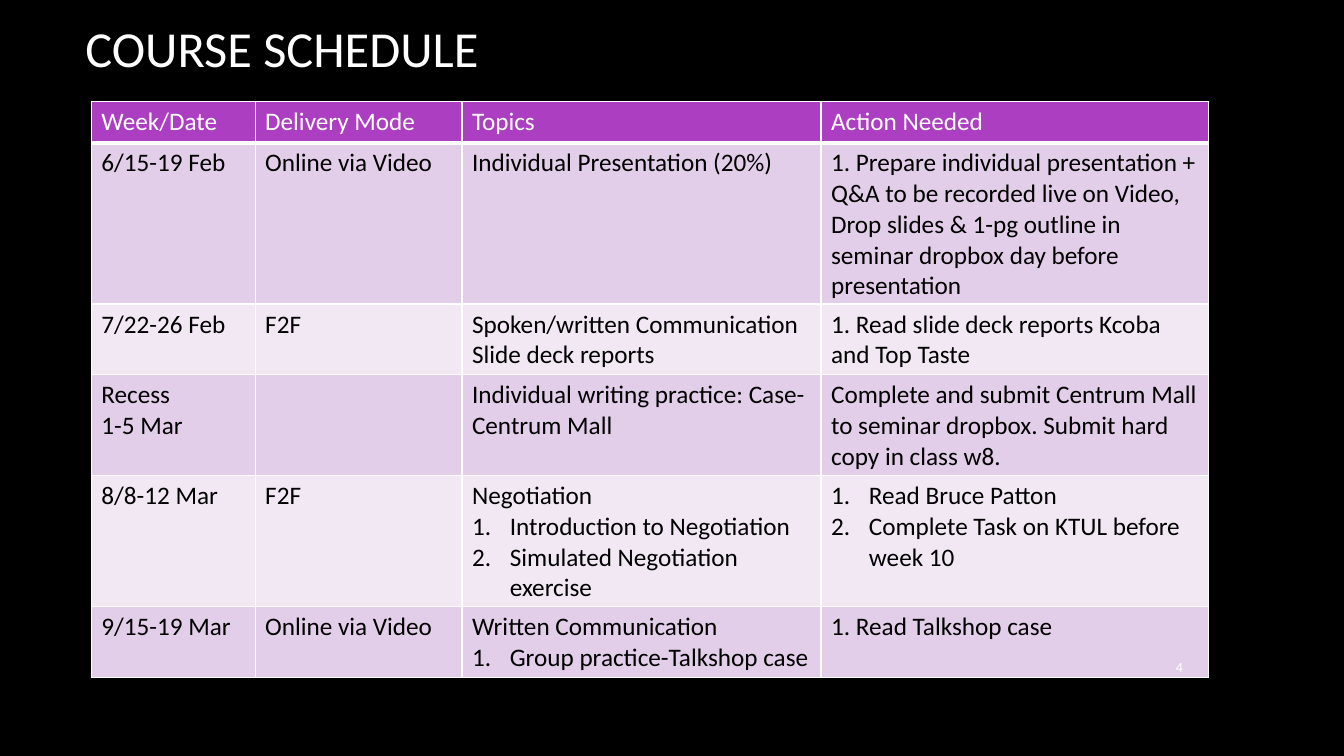
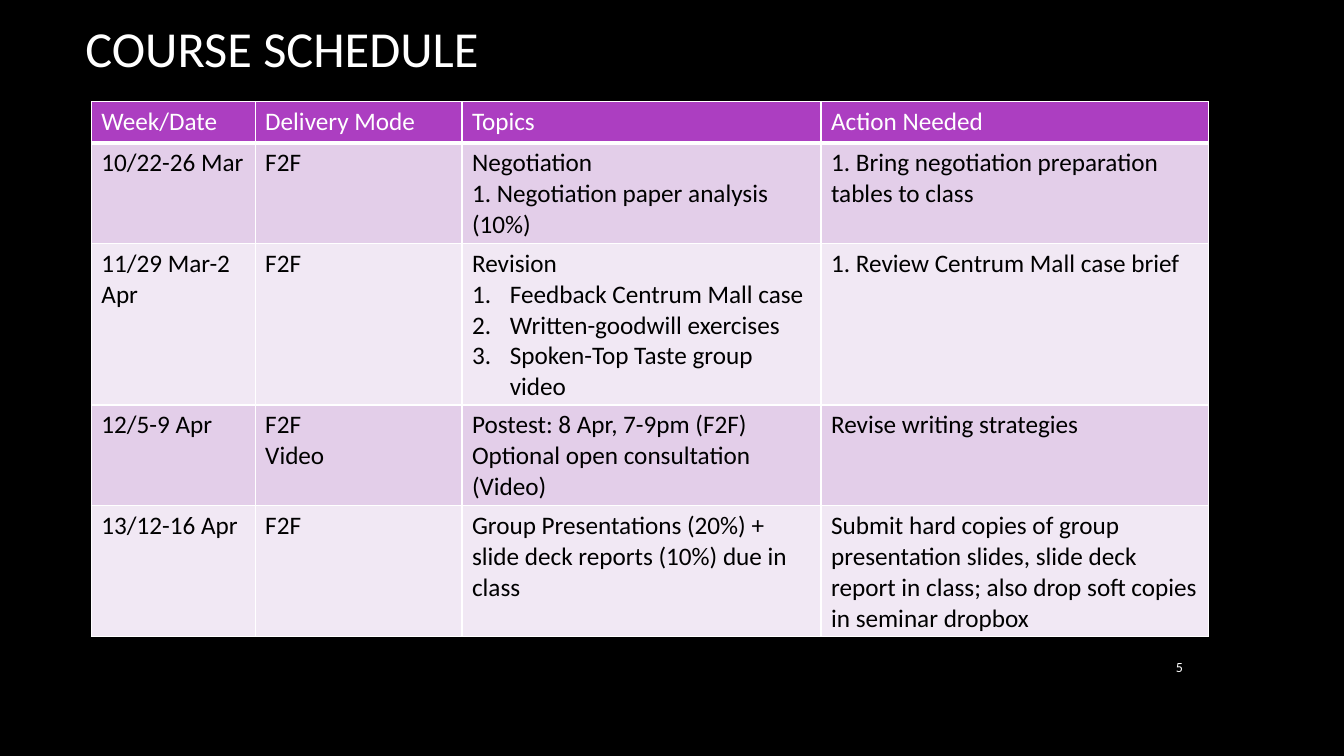
from lxml.etree import SubElement as Sub
from pptx import Presentation as Deck
from pptx.dml.color import RGBColor as Rgb
from pptx.enum.text import MSO_ANCHOR as Anchor, PP_ALIGN as Align
from pptx.oxml.ns import qn
from pptx.util import Pt

PX = 9525  # EMU in one px, 96 px to the inch
FONT = "Calibri"
HUES = {"back": "000000", "light": "FFFFFF", "dark": "000000",
        "head": "AC3EC1", "odd": "E3CEE9", "even": "F1E8F4"}

# Boxes in px: left, top, width, height
TITLE = (72, 10, 1064, 71)
GRID = (87, 97, 1064, 39)  # height is that of one row
PAGE = (1078, 616, 58, 39)
COLS = (156, 197, 342, 369)
INDENT = 36

HEAD = ("Week/Date", "Delivery Mode", "Topics", "Action Needed")

# In each cell a line is a paragraph, and "# " starts a numbered one
WEEKS = {
    4: [
        ("6/15-19 Feb", "Online via Video", "Individual Presentation (20%)",
         "1. Prepare individual presentation + Q&A to be recorded live on "
         "Video, Drop slides & 1-pg outline in seminar dropbox day before "
         "presentation"),
        ("7/22-26 Feb", "F2F",
         "Spoken/written Communication\nSlide deck reports",
         "1. Read slide deck reports Kcoba and Top Taste"),
        ("Recess\n1-5 Mar", "",
         "Individual writing practice: Case- Centrum Mall",
         "Complete and submit Centrum Mall to seminar dropbox. "
         "Submit hard copy in class w8."),
        ("8/8-12 Mar", "F2F",
         "Negotiation\n# Introduction to Negotiation\n"
         "# Simulated Negotiation exercise",
         "# Read Bruce Patton\n# Complete Task on KTUL before week 10"),
        ("9/15-19 Mar", "Online via Video",
         "Written Communication\n# Group practice-Talkshop case",
         "1. Read Talkshop case"),
    ],
    5: [
        ("10/22-26 Mar", "F2F",
         "Negotiation\n1. Negotiation paper analysis (10%)",
         "1. Bring negotiation preparation tables to class"),
        ("11/29 Mar-2 Apr", "F2F",
         "Revision\n# Feedback Centrum Mall case\n"
         "# Written-goodwill exercises\n# Spoken-Top Taste group video",
         "1. Review Centrum Mall case brief"),
        ("12/5-9 Apr", "F2F\nVideo",
         "Postest: 8 Apr, 7-9pm (F2F)\nOptional open consultation (Video)",
         "Revise writing strategies"),
        ("13/12-16 Apr", "F2F",
         "Group Presentations (20%) + slide deck reports (10%) due in class",
         "Submit hard copies of group presentation slides, slide deck report "
         "in class; also drop soft copies in seminar dropbox"),
    ],
}


def emu(box):
    return [n * PX for n in box]


def color(name):
    return Rgb.from_string(HUES[name])


def add_run(para, text, size, hue):
    run = para.add_run()
    run.text = text
    font = run.font
    font.name, font.size, font.bold = FONT, Pt(size), False
    font.color.rgb = color(hue)


def add_label(slide, box, text, size, align=Align.LEFT):
    frame = slide.shapes.add_textbox(*emu(box)).text_frame
    frame.word_wrap = True
    frame.vertical_anchor = Anchor.MIDDLE
    para = frame.paragraphs[0]
    para.alignment = align
    add_run(para, text, size, "light")


def number(para):
    props = para._p.get_or_add_pPr()
    props.set("marL", str(INDENT * PX))
    props.set("indent", str(-INDENT * PX))
    Sub(props, qn("a:buFont"), typeface="+mj-lt")
    Sub(props, qn("a:buAutoNum"), type="arabicPeriod")


def add_edges(cell, base):
    props = cell._tc.get_or_add_tcPr()
    for side, width in (("L", 1), ("R", 1), ("T", 1), ("B", base)):
        line = Sub(props, qn("a:ln" + side), w=str(Pt(width)))
        fill = Sub(line, qn("a:solidFill"))
        Sub(fill, qn("a:srgbClr"), val=HUES["light"])


def fill_cell(cell, text, hue, ink, base):
    # Borders come before the fill in the cell's properties
    add_edges(cell, base)
    cell.fill.solid()
    cell.fill.fore_color.rgb = color(hue)
    frame = cell.text_frame
    for i, line in enumerate(text.split("\n")):
        para = frame.add_paragraph() if i else frame.paragraphs[0]
        if line.startswith("# "):
            number(para)
        add_run(para, line.removeprefix("# "), 18, ink)


def add_grid(slide, box, weeks):
    left, top, width, high = box
    rows = [HEAD, *weeks]
    size = emu((left, top, width, high * len(rows)))
    table = slide.shapes.add_table(len(rows), len(COLS), *size).table
    for col, wide in zip(table.columns, COLS):
        col.width = wide * PX
    for r, row in enumerate(rows):
        if r:
            style = ("odd" if r % 2 else "even", "dark", 1)
        else:
            style = ("head", "light", 3)
        for c, text in enumerate(row):
            fill_cell(table.cell(r, c), text, *style)


def add_slide(deck, page, weeks):
    slide = deck.slides.add_slide(deck.slide_layouts[6])
    back = slide.background.fill
    back.solid()
    back.fore_color.rgb = color("back")
    add_label(slide, TITLE, "COURSE SCHEDULE", 36)
    add_grid(slide, GRID, weeks)
    add_label(slide, PAGE, str(page), 10, Align.RIGHT)


def main():
    deck = Deck()
    deck.slide_width, deck.slide_height = emu((1280, 720))
    for page, weeks in WEEKS.items():
        add_slide(deck, page, weeks)
    deck.save("out.pptx")


if __name__ == "__main__":
    main()
